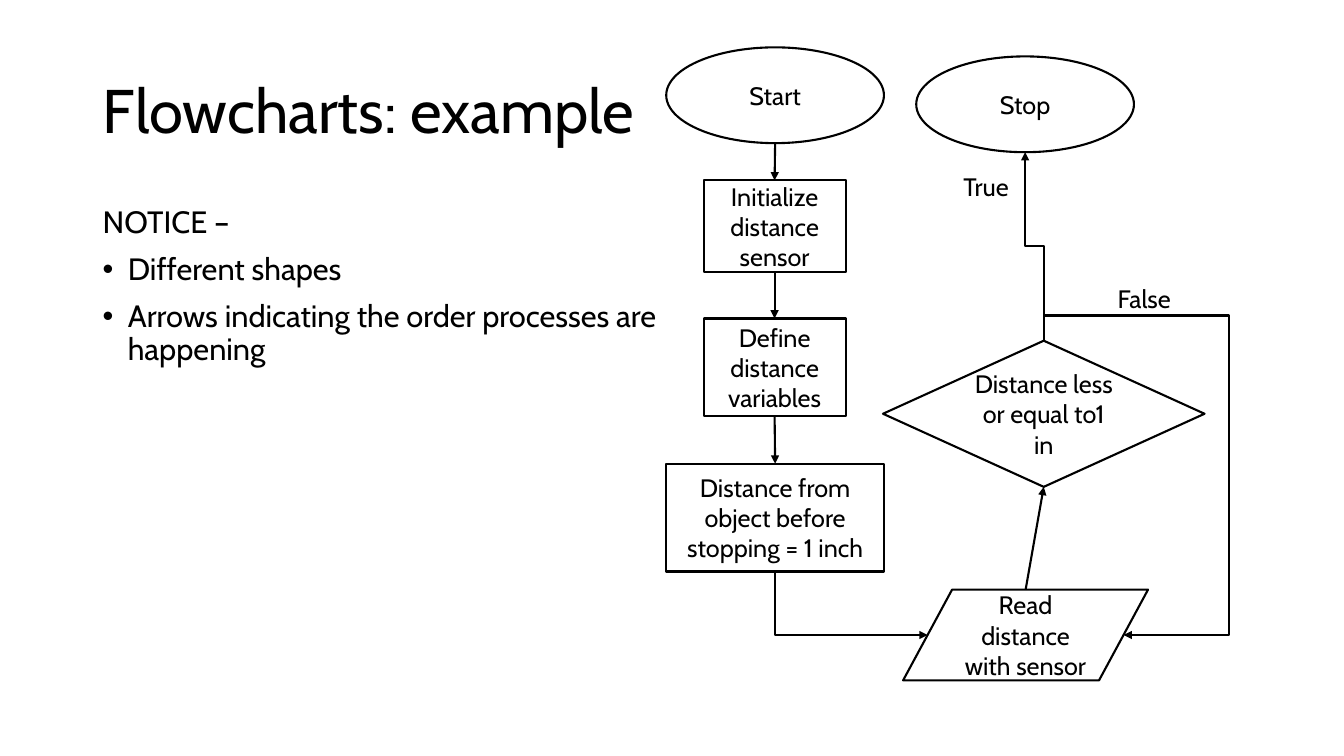
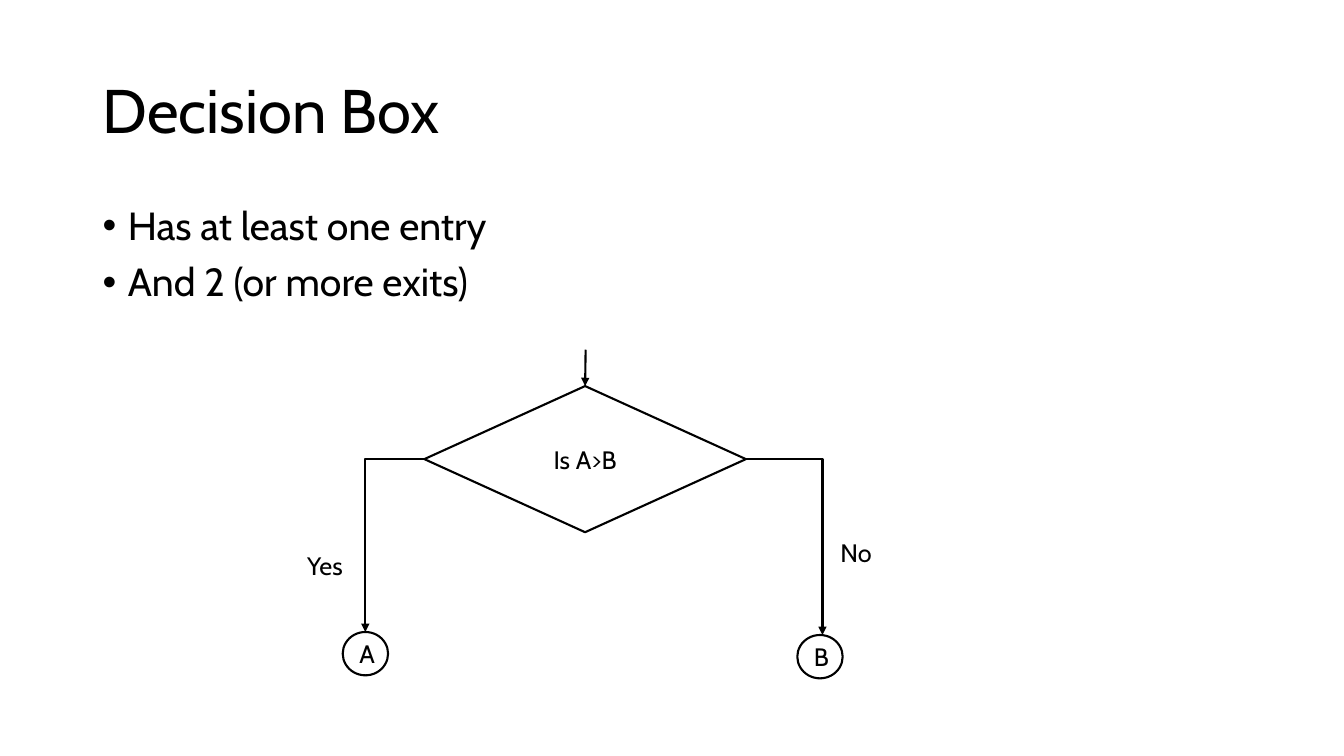
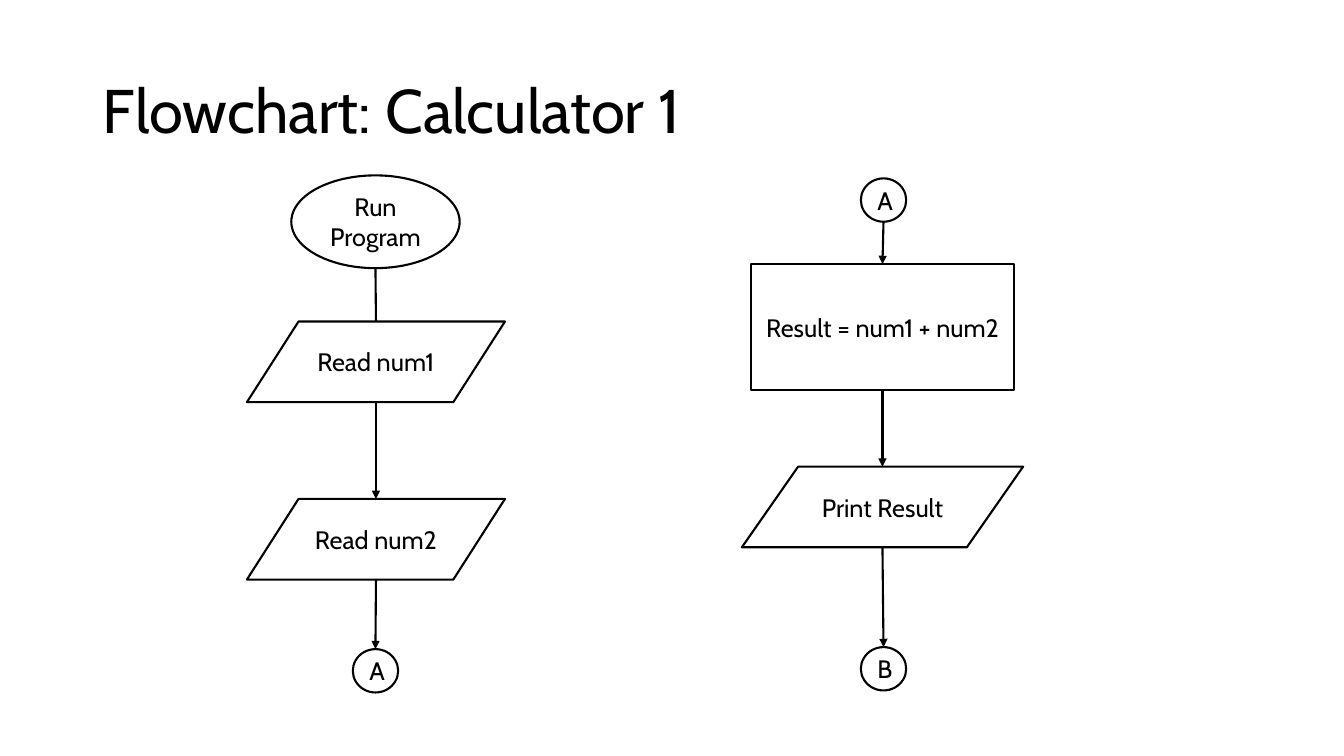
"""Build three flowchart slides with one shared title, node and arrow style."""
from pptx import Presentation
from pptx.dml.color import RGBColor
from pptx.enum.shapes import MSO_CONNECTOR, MSO_SHAPE
from pptx.enum.text import MSO_ANCHOR, MSO_AUTO_SIZE, PP_ALIGN
from pptx.oxml.ns import qn
from pptx.util import Pt
from lxml import etree

PX = 9144
BLACK = RGBColor(0, 0, 0)
WHITE = RGBColor(255, 255, 255)
FONT = "Cabin"
TITLE_SIZE, LABEL_SIZE = 44, 18
LINE_WIDTH = Pt(1.5)
TITLE_BOX = (92, 40, 1150, 145)
BULLET_INDENT = 25

ELLIPSE = MSO_SHAPE.OVAL
PROCESS = MSO_SHAPE.FLOWCHART_PROCESS
DATA = MSO_SHAPE.FLOWCHART_DATA
DECISION = MSO_SHAPE.FLOWCHART_DECISION
STRAIGHT, ELBOW = MSO_CONNECTOR.STRAIGHT, MSO_CONNECTOR.ELBOW
MIDDLE, TOP_ANCHOR = MSO_ANCHOR.MIDDLE, MSO_ANCHOR.TOP
LEFT_ALIGN, CENTER = PP_ALIGN.LEFT, PP_ALIGN.CENTER
NO_AUTOFIT = MSO_AUTO_SIZE.NONE
TOP, LEFT, BOTTOM, RIGHT = range(4)

SLIDES = [
    {
        "title": "Flowcharts: example",
        "body": {"box": (92, 200, 632, 476), "size": 22, "lines": [
            ("NOTICE –", False),
            ("Different shapes", True),
            ("Arrows indicating the order processes are happening", True)]},
        "nodes": {
            "start": (ELLIPSE, "Start", (661, 47, 216, 95)),
            "initialize": (PROCESS, "Initialize distance sensor", (698, 179, 141, 91)),
            "define": (PROCESS, "Define distance variables", (698, 316, 141, 97)),
            "limit": (PROCESS, "Distance from object before stopping = 1 inch",
                      (661, 460, 216, 107)),
            "read": (DATA, "Read distance with sensor", (896, 585, 243, 90)),
            "decide": (DECISION, "Distance less or equal to1 in", (876, 338, 319, 145)),
            "stop": (ELLIPSE, "Stop", (909, 56, 216, 95)),
        },
        "straight": [
            (("start", BOTTOM), ("initialize", TOP), True),
            (("initialize", BOTTOM), ("define", TOP), True),
            (("define", BOTTOM), ("limit", TOP), True),
            (("read", TOP), ("decide", BOTTOM), True)],
        "elbows": [
            (("limit", BOTTOM), ("read", LEFT), "bentConnector2", True, None),
            ((1036, 313), ("read", RIGHT), "bentConnector3", False, 2.33),
            (("decide", TOP), ("stop", BOTTOM), "bentConnector3", True, 0.5)],
        "labels": [("True", (946, 165, 70, 40)), ("False", (1099, 276, 81, 40))],
    },
    {
        "title": "Decision Box",
        "body": {"box": (92, 200, 1150, 476), "size": 28, "lines": [
            ("Has at least one entry", True),
            ("And 2 (or more exits)", True)]},
        "nodes": {
            "decide": (DECISION, "Is A>B", (421, 383, 319, 145)),
            "A": (ELLIPSE, "A", (340, 627, 45, 43)),
            "B": (ELLIPSE, "B", (791, 630, 45, 43)),
        },
        "straight": [((581, 347), ("decide", TOP), True)],
        "elbows": [
            (("decide", LEFT), ("A", TOP), "bentConnector2", False, None),
            (("decide", RIGHT), (816, 630), "bentConnector2", False, None)],
        "labels": [("Yes", (295, 541, 104, 40)), ("No", (824, 528, 104, 40))],
    },
    {
        "title": "Flowchart: Calculator 1",
        "body": None,
        "nodes": {
            "run": (ELLIPSE, "Run Program", (289, 174, 167, 92)),
            "num1": (DATA, "Read num1", (245, 319, 256, 80)),
            "num2": (DATA, "Read num2", (245, 495, 256, 80)),
            "exit A": (ELLIPSE, "A", (350, 644, 45, 43)),
            "entry A": (ELLIPSE, "A", (854, 177, 45, 43)),
            "result": (PROCESS, "Result = num1 + num2", (745, 262, 261, 125)),
            "print": (DATA, "Print Result", (736, 463, 279, 80)),
            "exit B": (ELLIPSE, "B", (854, 642, 45, 43)),
        },
        "straight": [
            (("run", BOTTOM), ("num1", TOP), False),
            (("num1", BOTTOM), ("num2", TOP), True),
            (("num2", BOTTOM), ("exit A", TOP), True),
            (("entry A", BOTTOM), ("result", TOP), True),
            (("result", BOTTOM), ("print", TOP), True),
            (("print", BOTTOM), ("exit B", TOP), True)],
        "elbows": [],
        "labels": [],
    },
]


def emu(lengths):
    return [round(length * PX) for length in lengths]


def format_frame(frame, size, alignment, anchor):
    frame.word_wrap = True
    frame.auto_size = NO_AUTOFIT
    frame.vertical_anchor = anchor
    for paragraph in frame.paragraphs:
        paragraph.alignment = alignment
        for run in paragraph.runs:
            run.font.size = Pt(size)
            run.font.name = FONT
            run.font.color.rgb = BLACK


def add_title(slide, text):
    title = slide.shapes.title
    title.left, title.top, title.width, title.height = emu(TITLE_BOX)
    title.text_frame.text = text
    title.text_frame.paragraphs[0].line_spacing = 0.9
    format_frame(title.text_frame, TITLE_SIZE, LEFT_ALIGN, MIDDLE)


def add_text(slide, text, box, size=LABEL_SIZE):
    frame = slide.shapes.add_textbox(*emu(box)).text_frame
    frame.text = text
    format_frame(frame, size, LEFT_ALIGN, TOP_ANCHOR)
    return frame


def add_body(slide, body):
    text = "\n".join(line for line, _ in body["lines"])
    frame = add_text(slide, text, body["box"], body["size"])
    for paragraph, (_, bulleted) in zip(frame.paragraphs, body["lines"]):
        paragraph.line_spacing = 0.9
        paragraph.space_before = Pt(10)
        if bulleted:
            properties = paragraph._p.get_or_add_pPr()
            properties.set("marL", str(BULLET_INDENT * PX))
            properties.set("indent", str(-BULLET_INDENT * PX))
            etree.SubElement(properties, qn("a:buFont"), typeface="Arial")
            etree.SubElement(properties, qn("a:buChar"), char="•")


def add_node(slide, preset, text, box):
    shape = slide.shapes.add_shape(preset, *emu(box))
    shape.shadow.inherit = False
    shape.fill.solid()
    shape.fill.fore_color.rgb = WHITE
    shape.line.color.rgb = BLACK
    shape.line.width = LINE_WIDTH
    shape.text_frame.text = text
    format_frame(shape.text_frame, LABEL_SIZE, CENTER, MIDDLE)
    return shape


def locate(end, nodes):
    if not isinstance(end[0], str):
        return end
    name, side = end
    preset, _, (left, top, width, height) = nodes[name]
    inset = width / 10 if preset == DATA else 0
    middle_x, middle_y = left + width / 2, top + height / 2
    return {
        TOP: (middle_x, top),
        LEFT: (left + inset, middle_y),
        BOTTOM: (middle_x, top + height),
        RIGHT: (left + width - inset, middle_y),
    }[side]


def add_line(slide, kind, begin, end, arrow=True):
    connector = slide.shapes.add_connector(kind, *emu((*begin, *end)))
    connector.line.color.rgb = BLACK
    connector.line.width = LINE_WIDTH
    if arrow:
        etree.SubElement(connector.line._get_or_add_ln(), qn("a:tailEnd"), type="triangle")
    etree.SubElement(connector._element.spPr, qn("a:effectLst"))
    return connector


def add_straight(slide, begin, end, arrow, nodes, shapes):
    connector = add_line(slide, STRAIGHT, locate(begin, nodes), locate(end, nodes), arrow)
    for place, connect in ((begin, connector.begin_connect), (end, connector.end_connect)):
        name, side = place
        if name in nodes and nodes[name][0] in (PROCESS, DECISION):
            connect(shapes[name], side)


def add_elbow(slide, begin, end, preset, vertical_first, bend):
    if vertical_first:
        along, across = begin[1] - end[1], end[0] - begin[0]
        center_x, center_y = (begin[0] + end[0]) / 2, (begin[1] + end[1]) / 2
        begin = (center_x - along / 2, center_y - across / 2)
        end = (center_x + along / 2, center_y + across / 2)
    connector = add_line(slide, ELBOW, begin, end)
    properties = connector._element.spPr
    if vertical_first:
        properties.find(qn("a:xfrm")).set("rot", str(270 * 60000))
    geometry = properties.find(qn("a:prstGeom"))
    geometry.set("prst", preset)
    if bend is not None:
        etree.SubElement(geometry.find(qn("a:avLst")), qn("a:gd"),
                         name="adj1", fmla=f"val {round(bend * 100000)}")


def build_slide(presentation, content):
    slide = presentation.slides.add_slide(presentation.slide_layouts[5])
    add_title(slide, content["title"])
    if content["body"]:
        add_body(slide, content["body"])
    nodes = content["nodes"]
    shapes = {name: add_node(slide, *node) for name, node in nodes.items()}
    for begin, end, arrow in content["straight"]:
        add_straight(slide, begin, end, arrow, nodes, shapes)
    for begin, end, *route in content["elbows"]:
        add_elbow(slide, locate(begin, nodes), locate(end, nodes), *route)
    for text, box in content["labels"]:
        add_text(slide, text, box)


def main():
    presentation = Presentation()
    presentation.slide_width, presentation.slide_height = emu((1333.33, 750))
    for content in SLIDES:
        build_slide(presentation, content)
    presentation.save("out.pptx")


if __name__ == "__main__":
    main()
